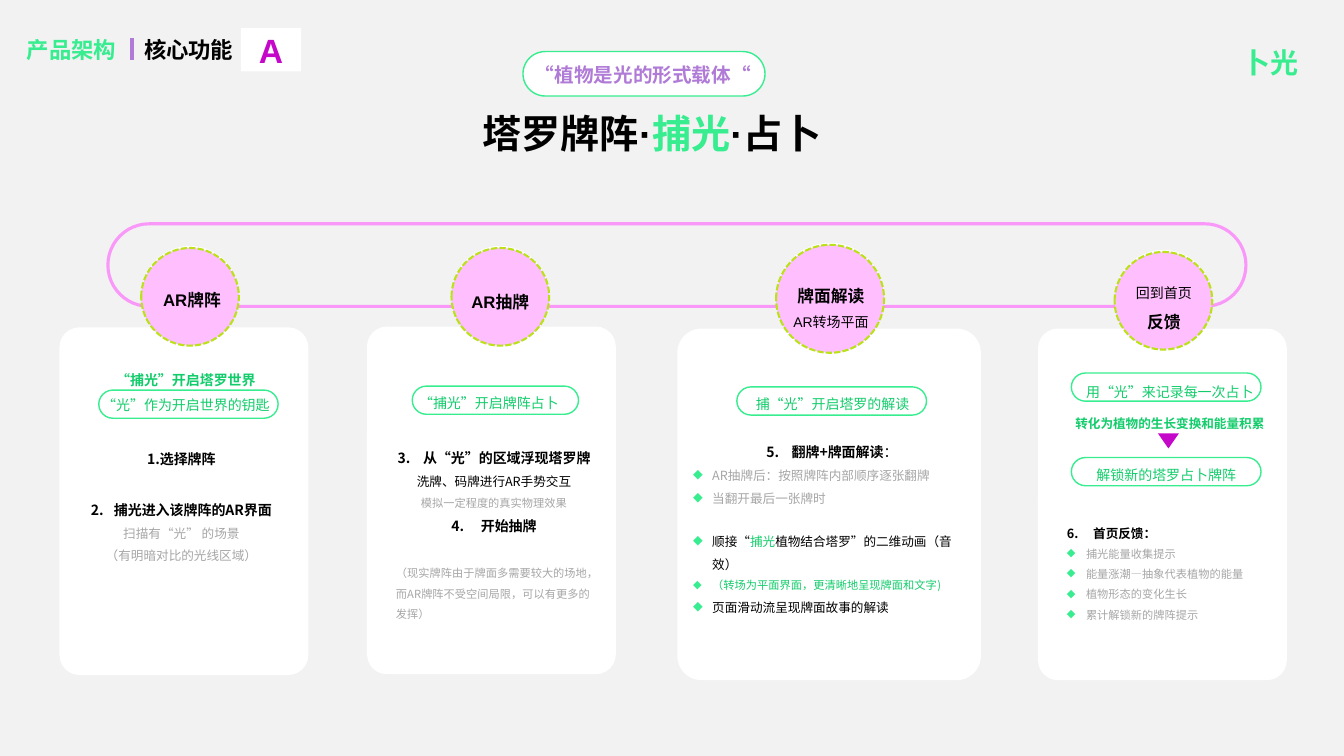
from lxml import etree
from pptx import Presentation
from pptx.dml.color import RGBColor
from pptx.enum.dml import MSO_LINE
from pptx.enum.shapes import MSO_CONNECTOR, MSO_SHAPE
from pptx.enum.text import MSO_ANCHOR, PP_ALIGN
from pptx.oxml.ns import qn
from pptx.util import Cm, Pt

RECT, ROUND = MSO_SHAPE.RECTANGLE, MSO_SHAPE.ROUNDED_RECTANGLE
OVAL, TRI = MSO_SHAPE.OVAL, MSO_SHAPE.ISOSCELES_TRIANGLE
STRAIGHT, DASH = MSO_CONNECTOR.STRAIGHT, MSO_LINE.SQUARE_DOT
MID, CENTER, LEFT = MSO_ANCHOR.MIDDLE, PP_ALIGN.CENTER, PP_ALIGN.LEFT

WHITE = RGBColor(0xFF, 0xFF, 0xFF)
BLACK = RGBColor(0x00, 0x00, 0x00)
PALE = RGBColor(0xF2, 0xF2, 0xF2)
GRAY = RGBColor(0xA6, 0xA6, 0xA6)
MINT = RGBColor(0x38, 0xED, 0x90)
GREEN = RGBColor(0x12, 0xCC, 0x6B)
LILAC = RGBColor(0xB0, 0x7B, 0xD7)
PLUM = RGBColor(0xC5, 0x07, 0xCA)
PINK = RGBColor(0xFF, 0x66, 0xFF)
FUCHSIA = RGBColor(0xFF, 0x00, 0xFF)
LIME = RGBColor(0xBB, 0xE1, 0x19)
SANS, NOTO = "Arial", "Noto Sans CJK SC"


def fade(fill, percent):
    """Make a solid colour partly transparent."""
    color = fill._xPr.find(qn("a:solidFill"))[0]
    etree.SubElement(color, qn("a:alpha")).set("val", str(percent * 1000))


def shape(slide, kind, box, fill=None, line=None, width=1, round=None):
    item = slide.shapes.add_shape(kind, *map(Cm, box))
    item.shadow.inherit = False
    if round is not None:
        item.adjustments[0] = round
    if fill is None:
        item.fill.background()
    else:
        item.fill.solid()
        item.fill.fore_color.rgb = fill
    if line is None:
        item.line.fill.background()
    else:
        item.line.color.rgb = line
        item.line.width = Pt(width)
    return item


def pill(slide, *box, fill=None):
    return shape(slide, ROUND, box, fill, MINT, round=0.5)


def run(text, size, color=BLACK, bold=False):
    return text, {"size": Pt(size), "bold": bold}, color


def para(*runs, align=CENTER, before=0, mark=None, start=None, hang=0):
    return runs, {"alignment": align, "space_before": Pt(before)}, mark, start, hang


def dot(*runs, before=0):
    return para(*runs, align=LEFT, before=before, mark="◆", hang=0.48)


def step(number, hang, *runs, **more):
    return para(*runs, start=number, hang=hang, **more)


def bullet(par, mark, start, hang):
    props = par._p.get_or_add_pPr()
    props.set("marL", str(Cm(hang)))
    props.set("indent", str(-Cm(hang)))
    if mark:
        color = etree.SubElement(props, qn("a:buClr"))
        etree.SubElement(color, qn("a:srgbClr")).set("val", str(MINT))
        etree.SubElement(props, qn("a:buChar")).set("char", mark)
    else:
        auto = etree.SubElement(props, qn("a:buAutoNum"))
        auto.set("type", "arabicPeriod")
        auto.set("startAt", str(start))


def write(frame, paras, face, gap):
    for i, (runs, form, mark, start, hang) in enumerate(paras):
        par = frame.paragraphs[0] if i == 0 else frame.add_paragraph()
        for key, value in {**form, "line_spacing": gap}.items():
            setattr(par, key, value)
        if hang:
            bullet(par, mark, start, hang)
        for words, style, color in runs:
            part = par.add_run()
            part.text = words
            for key, value in {**style, "name": face}.items():
                setattr(part.font, key, value)
            part.font.color.rgb = color
            east = etree.SubElement(part._r.get_or_add_rPr(), qn("a:ea"))
            east.set("typeface", NOTO)


def text(slide, box, *paras, face=NOTO, gap=1.5, wrap=True):
    frame = slide.shapes.add_textbox(*map(Cm, box)).text_frame
    frame.word_wrap = wrap
    write(frame, paras, face, gap)


def disc(slide, left, top, size):
    """White backing under a translucent dashed circle."""
    shape(slide, OVAL, (left, top - 0.05, size, size), WHITE)
    ring = shape(slide, OVAL, (left, top, size, size), FUCHSIA, LIME, 1.5)
    fade(ring.fill, 25)
    ring.line.dash_style = DASH


def header(slide):
    text(slide, (0.43, 0.79, 3.18, 0.94), para(run("产品架构", 16, MINT, True), align=LEFT),
         face=SANS, gap=1)
    bar = slide.shapes.add_connector(STRAIGHT, Cm(3.33), Cm(0.97), Cm(3.33), Cm(1.52))
    bar.line.color.rgb = LILAC
    bar.line.width = Pt(3)
    etree.SubElement(bar._element.spPr, qn("a:effectLst"))
    text(slide, (3.38, 0.79, 5.08, 0.94), para(run("核心功能", 16, BLACK, True), align=LEFT),
         face=SANS, gap=1)
    badge = shape(slide, RECT, (6.07, 0.71, 1.52, 1.09), WHITE)
    badge.text_frame.vertical_anchor = MID
    write(badge.text_frame, [para(run("A", 24, PLUM, True))], SANS, 1)
    text(slide, (31.06, 1.02, 2.01, 1.12), para(run("卜光", 20, MINT, True), align=LEFT), gap=1)
    pill(slide, 13.18, 1.3, 6.1, 1.12, fill=WHITE)
    text(slide, (13.23, 1.45, 5.99, 0.86),
         para(run("“植物是光的形式载体“", 14, LILAC, True), align=LEFT),
         face=SANS, gap=1, wrap=False)
    text(slide, (11.91, 2.64, 19.25, 1.45),
         para(run("塔罗牌阵·", 28, BLACK, True), run("捕光", 28, MINT, True),
              run("·占卜", 28, BLACK, True), align=LEFT), face=SANS, gap=1)


def stages(slide):
    rail = shape(slide, ROUND, (2.72, 5.64, 28.68, 2.08), None, PINK, 2.25, 0.5)
    fade(rail.line.fill, 64)
    for box in ((1.5, 8.25, 6.27, 8.76), (9.25, 8.23, 6.27, 8.76),
                (17.07, 8.28, 7.65, 8.86), (26.16, 8.28, 6.27, 8.86)):
        shape(slide, ROUND, box, WHITE, round=0.08)
    for spot in ((3.56, 6.25, 2.46), (11.38, 6.25, 2.46),
                 (19.56, 6.17, 2.72), (28.09, 6.35, 2.46)):
        disc(slide, *spot)
    for left, top, *lines in (
            (3.15, 6.93, ("AR牌阵", 12)),
            (10.92, 6.98, ("AR抽牌", 12)),
            (19.25, 6.81, ("牌面解读", 12), ("AR转场平面", 10)),
            (27.64, 6.83, ("回到首页", 10), ("反馈", 12))):
        text(slide, (left, top, 3.38, 0.8 * len(lines)),
             *(para(run(words, size, bold=size == 12)) for words, size in lines), face=SANS)


def spread(slide):
    pill(slide, 2.49, 9.83, 4.52, 0.71)
    text(slide, (1.65, 9.02, 6.07, 1.47),
         para(run("“捕光”开启塔罗世界", 10, GREEN, True)),
         para(run("“光”作为开启世界的钥匙", 10, GREEN)))
    text(slide, (1.85, 11.02, 5.44, 4.55),
         para(run("1.选择牌阵", 10, bold=True)),
         step(2, 0.58, run("捕光进入该牌阵的AR界面", 10, bold=True), before=18),
         para(run("扫描有“光” 的场景", 9, GRAY)),
         para(run("（有明暗对比的光线区域）", 9, GRAY)))


def draw(slide):
    pill(slide, 10.39, 9.73, 4.19, 0.71)
    text(slide, (10.29, 9.6, 4.06, 0.81),
         para(run("“捕光”开启牌阵占卜", 10, GREEN)), wrap=False)
    text(slide, (9.73, 11, 5.44, 5.89),
         step(3, 0.64, run("从“光”的区域浮现塔罗牌", 10, bold=True)),
         para(run("洗牌、码牌进行AR手势交互", 9)),
         para(run("模拟一定程度的真实物理效果", 8, GRAY)),
         step(4, 0.74, run("开始抽牌", 10, bold=True)),
         para(run("（现实牌阵由于牌面多需要较大的场地，而AR牌阵不受空间局限，可以有更多的发挥）",
                  8, GRAY), align=LEFT, before=18))


def reading(slide):
    pill(slide, 18.57, 9.75, 4.78, 0.71)
    text(slide, (18.77, 9.63, 4.42, 0.81),
         para(run("捕“光”开启塔罗的解读", 10, GREEN)), wrap=False)
    text(slide, (17.22, 10.85, 7.49, 4.17),
         step(5, 0.64, run("翻牌+牌面解读", 10, bold=True), run("：", 10)),
         dot(run("AR抽牌后：按照牌阵内部顺序逐张翻牌", 9, GRAY)),
         dot(run("当翻开最后一张牌时", 9, GRAY)),
         dot(run("顺接“", 9), run("捕光", 9, GREEN),
             run("植物结合塔罗”的二维动画（音效）", 9), before=14.5),
         dot(run("（转场为平面界面，更清晰地呈现牌面和文字)", 8, GREEN)),
         dot(run("页面滑动流呈现牌面故事的解读", 9)))


def feedback(slide):
    for top in (9.4, 11.53):
        pill(slide, 27, top, 4.78, 0.71)
    text(slide, (26.75, 9.12, 5.46, 1.75),
         para(run("用“光”来记录每一次占卜", 10, GREEN)),
         para(run("转化为植物的生长变换和能量积累", 9, GREEN, True)), gap=2)
    text(slide, (26.52, 11.43, 5.74, 0.81), para(run("解锁新的塔罗占卜牌阵", 10, GREEN)))
    shape(slide, TRI, (29.18, 10.92, 0.53, 0.38), PLUM).rotation = 180
    hints = "捕光能量收集提示", "能量涨潮—抽象代表植物的能量", "植物形态的变化生长", "累计解锁新的牌阵提示"
    text(slide, (26.64, 12.93, 5.99, 3.4),
         step(6, 0.66, run("首页反馈：", 9, bold=True), align=LEFT),
         *(dot(run(hint, 8, GRAY)) for hint in hints))


def main():
    deck = Presentation()
    deck.slide_width, deck.slide_height = Cm(33.87), Cm(19.05)
    slide = deck.slides.add_slide(deck.slide_layouts[6])
    slide.background.fill.solid()
    slide.background.fill.fore_color.rgb = PALE
    header(slide)
    stages(slide)
    for card in (spread, draw, reading, feedback):
        card(slide)
    deck.save("out.pptx")


if __name__ == "__main__":
    main()
